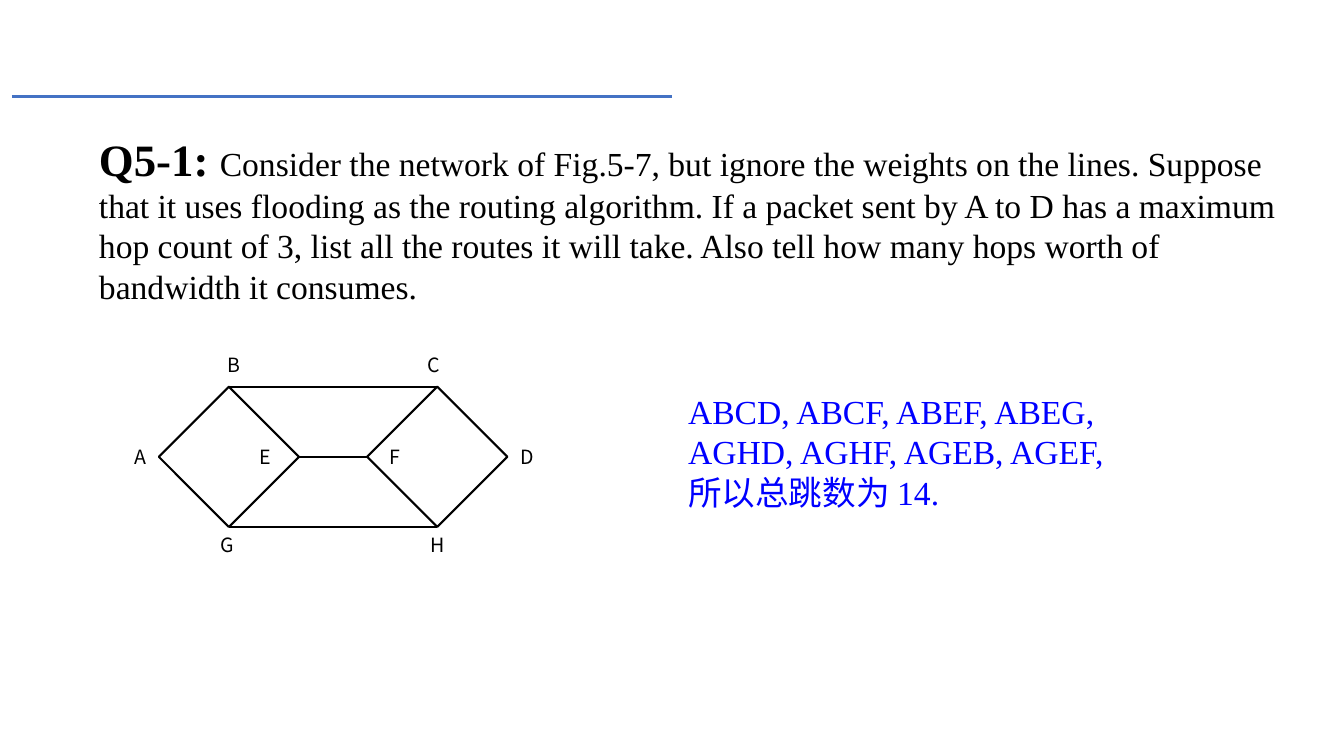
from dataclasses import dataclass
from math import sqrt

from lxml.etree import SubElement
from pptx import Presentation
from pptx.dml.color import RGBColor
from pptx.enum.shapes import MSO_CONNECTOR as Connector, MSO_SHAPE as Shape
from pptx.enum.text import MSO_ANCHOR as Anchor, MSO_AUTO_SIZE as AutoSize, PP_ALIGN as Align
from pptx.oxml.ns import qn
from pptx.util import Cm, Pt


@dataclass(frozen=True)
class Theme:
    ink: RGBColor = RGBColor(0x00, 0x00, 0x00)
    accent: RGBColor = RGBColor(0x44, 0x72, 0xC4)
    answer: RGBColor = RGBColor(0x00, 0x00, 0xFF)
    serif: str = "Times New Roman"
    sans: str = "Noto Sans CJK SC"
    heading: float = 32
    body: float = 24
    label: float = 14
    rule: float = 2.25
    edge: float = 1.5


class SlideBuilder:
    def __init__(self, slide, theme):
        self.slide = slide
        self.theme = theme

    def add_run(self, paragraph, text, size, color, font, bold=False):
        run = paragraph.add_run()
        run.text = text
        run.font.size = Pt(size)
        run.font.name = font
        run.font.bold = bold
        run.font.color.rgb = color
        # Chinese characters use the sans face
        SubElement(run.font._element, qn("a:ea"), typeface=self.theme.sans)

    def prepare_frame(self, shape):
        frame = shape.text_frame
        frame.word_wrap = True
        frame.auto_size = AutoSize.SHAPE_TO_FIT_TEXT
        frame.vertical_anchor = Anchor.TOP
        return frame

    def question(self, left, top, width, height, tag, text):
        title = self.slide.shapes.title
        title.left, title.top, title.width, title.height = map(Cm, (left, top, width, height))
        paragraph = self.prepare_frame(title).paragraphs[0]
        paragraph.alignment = Align.LEFT
        theme = self.theme
        self.add_run(paragraph, tag, theme.heading, theme.ink, theme.serif, bold=True)
        self.add_run(paragraph, text, theme.body, theme.ink, theme.serif)

    def text_box(self, left, top, width, height, lines, size, color, font, align=Align.LEFT):
        box = self.slide.shapes.add_textbox(Cm(left), Cm(top), Cm(width), Cm(height))
        frame = self.prepare_frame(box)
        for index, line in enumerate(lines):
            paragraph = frame.add_paragraph() if index else frame.paragraphs[0]
            paragraph.alignment = align
            self.add_run(paragraph, line, size, color, font)

    def node_label(self, name, center_x, center_y, width=0.97, height=0.86):
        self.text_box(center_x - width / 2, center_y - height / 2, width, height, [name],
                      self.theme.label, self.theme.ink, self.theme.sans, Align.CENTER)

    def line(self, start, end, color, weight):
        points = [Cm(value) for value in (*start, *end)]
        connector = self.slide.shapes.add_connector(Connector.STRAIGHT, *points)
        connector.line.color.rgb = color
        connector.line.width = Pt(weight)
        SubElement(connector._element.spPr, qn("a:effectLst"))

    def diamond(self, center_x, center_y, side):
        square = self.slide.shapes.add_shape(
            Shape.RECTANGLE, Cm(center_x - side / 2), Cm(center_y - side / 2), Cm(side), Cm(side))
        square.rotation = 315
        square.shadow.inherit = False
        square.fill.background()
        square.line.color.rgb = self.theme.ink
        square.line.width = Pt(self.theme.edge)


def main():
    presentation = Presentation()
    presentation.slide_width, presentation.slide_height = Cm(33.87), Cm(19.05)
    slide = presentation.slides.add_slide(presentation.slide_layouts[5])
    theme = Theme()
    builder = SlideBuilder(slide, theme)

    # Header rule and question
    builder.line((0.3, 2.44), (16.94, 2.44), theme.accent, theme.rule)
    builder.question(
        2.24, 3.18, 30.94, 4.7, "Q5-1: ",
        "Consider the network of Fig.5-7, but ignore the weights on the lines. Suppose that it "
        "uses flooding as the routing algorithm. If a packet sent by A to D has a maximum hop "
        "count of 3, list all the routes it will take. Also tell how many hops worth of "
        "bandwidth it consumes.")

    # Network: two diamonds joined at top, middle and bottom
    left_x, right_x, middle_y, side = 5.77, 11.02, 11.51, 2.5
    reach = side / sqrt(2)
    for center_x in (left_x, right_x):
        builder.diamond(center_x, middle_y, side)
    for inset, offset in ((0, -reach), (reach, 0), (0, reach)):
        y = middle_y + offset
        builder.line((left_x + inset, y), (right_x - inset, y), theme.ink, theme.edge)

    # Node labels, row by row
    label_rows = {
        9.19: {"B": 5.89, "C": 10.92},
        middle_y: {"A": 3.53, "E": 6.68, "F": 9.96, "D": 13.28},
        13.74: {"G": 5.72, "H": 11.02},
    }
    for center_y, row in label_rows.items():
        for name, center_x in row.items():
            builder.node_label(name, center_x, center_y)

    # Answer
    builder.text_box(
        17.09, 9.73, 12.78, 3.33,
        ["ABCD, ABCF, ABEF, ABEG, AGHD, AGHF, AGEB, AGEF,", "所以总跳数为 14."],
        theme.body, theme.answer, theme.serif)

    presentation.save("out.pptx")


if __name__ == "__main__":
    main()
